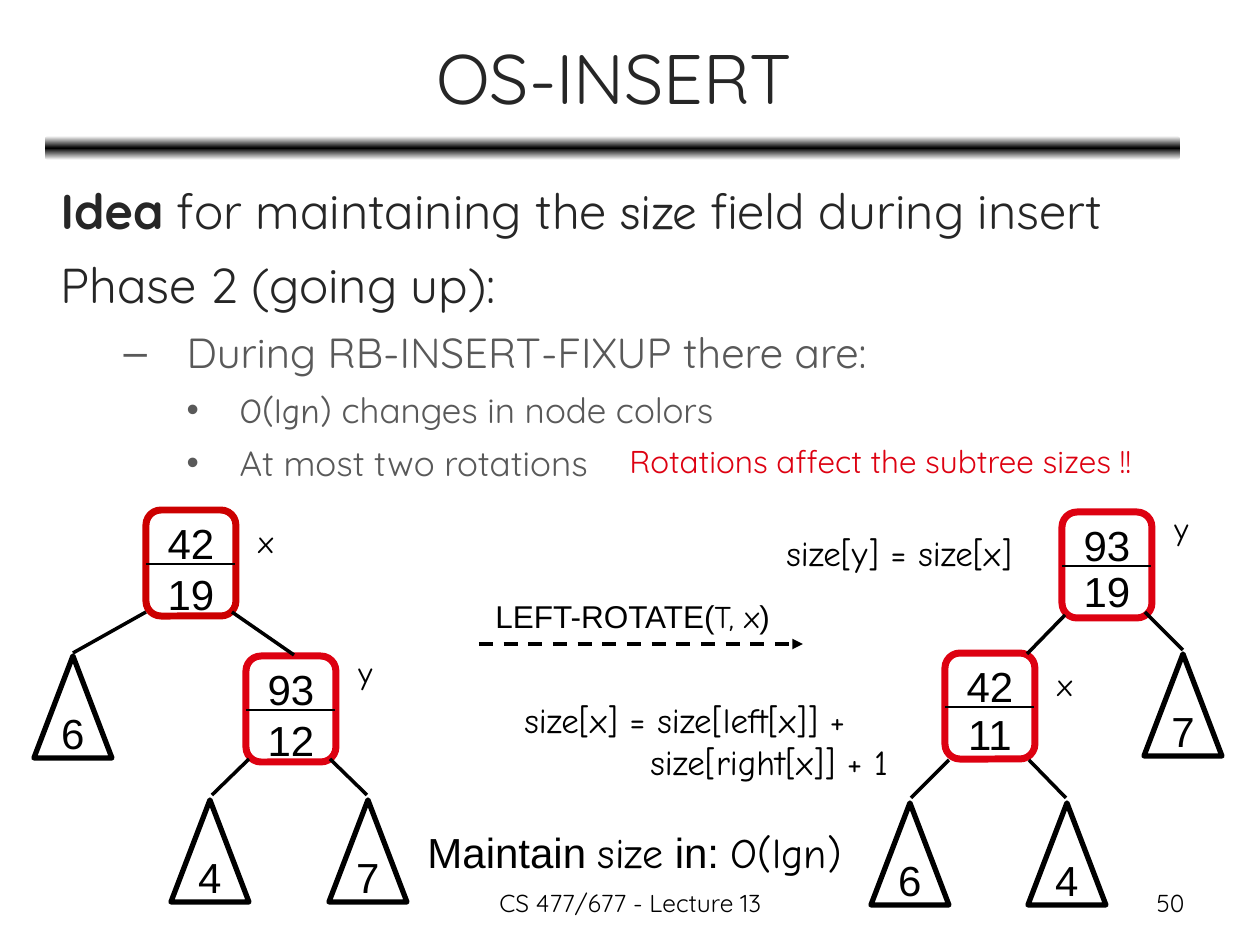
from copy import deepcopy

from pptx import Presentation
from pptx import util as u
from pptx.dml.color import RGBColor
from pptx.enum import dml, shapes, text
from pptx.oxml.ns import qn
from lxml import etree

PX = 914400 / 126
SANS, HAND, PLAIN = "Quicksand", "Comic Neue", "Arial"
BLACK, DARK, GREY = "000000", "262626", "595959"
RED, DEEP_RED = "DD0111", "CC0000"
LEFT, CENTER, RIGHT = text.PP_ALIGN.LEFT, text.PP_ALIGN.CENTER, text.PP_ALIGN.RIGHT


def px(*values):
    return [u.Emu(round(v * PX)) for v in values]


def rgb(value):
    return RGBColor.from_string(value)


def move(sp, box):
    sp.left, sp.top, sp.width, sp.height = px(*box)


def add_runs(p, runs, size, color=BLACK, bold=False):
    for words, font in runs:
        r = p.add_run()
        r.text = words
        r.font.name, r.font.size, r.font.bold = font, u.Pt(size), bold
        r.font.color.rgb = rgb(color)


def indent(p, left, first=0):
    pPr = p._p.get_or_add_pPr()
    margin, hanging = px(left, first)
    pPr.set("marL", str(margin))
    pPr.set("indent", str(hanging))
    return pPr


def add_text(s, box, *lines, size=18, color=BLACK, align=LEFT, wrap=True, step=0):
    sp = s.shapes.add_textbox(*px(*box))
    tf = sp.text_frame
    tf.word_wrap = wrap
    for i, runs in enumerate(lines):
        p = tf.add_paragraph() if i else tf.paragraphs[0]
        p.alignment = align
        add_runs(p, runs, size, color)
        if step:
            indent(p, i * step)
    return sp


def add_outline(s, kind, box, color, weight):
    sp = s.shapes.add_shape(kind, *px(*box))
    sp.shadow.inherit = False
    sp.fill.background()
    sp.line.color.rgb = rgb(color)
    sp.line.width = u.Pt(weight)
    return sp


def add_line(s, x1, y1, x2, y2, weight=2):
    c = s.shapes.add_connector(shapes.MSO_CONNECTOR.STRAIGHT, *px(x1, y1, x2, y2))
    c.line.color.rgb = rgb(BLACK)
    c.line.width = u.Pt(weight)
    etree.SubElement(c._element.spPr, qn("a:effectLst"))
    return c


def add_node(s, x, y, key, size, name, color=RED, size_dy=52):
    w, h = 90, 106
    add_outline(s, shapes.MSO_SHAPE.ROUNDED_RECTANGLE, (x, y, w, h), color, 4)
    for value, dy in ((key, 1), (size, size_dy)):
        add_text(s, (x, y + dy, w, 63), [(value, PLAIN)], size=24, align=CENTER, wrap=False)
    add_line(s, x, y + 54, x + w - 1, y + 54, 1)
    label_dy = 6 if name == "x" else -9
    add_text(s, (x + 100, y + label_dy, 44, 50), [(name, HAND)])


def add_leaf(s, x, y, size):
    sp = add_outline(s, shapes.MSO_SHAPE.ISOSCELES_TRIANGLE, (x, y, 78, 102), BLACK, 3)
    tf = sp.text_frame
    tf.word_wrap = False
    tf.vertical_anchor = text.MSO_ANCHOR.MIDDLE
    tf.paragraphs[0].alignment = CENTER
    add_runs(tf.paragraphs[0], [(size, PLAIN)], 24)


def add_tree(s, x, y, nodes, leaves, edges):
    for dx, dy, key, size, name, style in nodes:
        add_node(s, x + dx, y + dy, key, size, name, **style)
    for dx, dy, size in leaves:
        add_leaf(s, x + dx, y + dy, size)
    for x1, y1, x2, y2 in edges:
        add_line(s, x + x1, y + y1, x + x2, y + y2)


def add_heading(s, box):
    x, y, w, h = box
    sp = s.shapes.title
    move(sp, (x, y, w, 125))
    tf = sp.text_frame
    tf.auto_size = text.MSO_AUTO_SIZE.NONE
    tf.vertical_anchor = text.MSO_ANCHOR.MIDDLE
    tf.paragraphs[0].alignment = CENTER
    add_runs(tf.paragraphs[0], [("OS-INSERT", SANS)], 40, DARK)
    bar = s.shapes.add_shape(shapes.MSO_SHAPE.ROUNDED_RECTANGLE, *px(x - 2, y + h - 24, w + 1, 24))
    bar.shadow.inherit = False
    bar.line.fill.background()
    bar.fill.gradient()
    bar.fill.gradient_angle = 90
    first, last = bar.fill.gradient_stops
    first.color.rgb = last.color.rgb = rgb("FFFFFF")
    first.position, last.position = 0, 1
    stops = bar._element.spPr.find(qn("a:gradFill")).find(qn("a:gsLst"))
    stops.insert(1, deepcopy(stops[0]))
    middle = bar.fill.gradient_stops[1]
    middle.color.rgb, middle.position = rgb(BLACK), 0.5


def add_body(s, box):
    sp = s.placeholders[1]
    move(sp, box)
    tf = sp.text_frame
    tf.auto_size = text.MSO_AUTO_SIZE.NONE
    levels = [(73, -73, 28, DARK), (126, -63, 24, GREY), (179, -53, 20, GREY)]
    lines = [
        (0, [(" for maintaining the ", SANS), ("size", HAND), (" field during insert", SANS)]),
        (0, [("Phase 2 (going up):", SANS)]),
        (1, [("During RB-INSERT-FIXUP there are:", SANS)]),
        (2, [("O(lgn)", HAND), (" changes in node colors", SANS)]),
        (2, [("At most two rotations", SANS)]),
    ]
    for i, (level, runs) in enumerate(lines):
        p = tf.add_paragraph() if i else tf.paragraphs[0]
        left, first, size, color = levels[level]
        p.level = level
        p.line_spacing = 1.1
        pPr = indent(p, left, first)
        if level == 0:
            etree.SubElement(pPr, qn("a:buNone"))
        if i == 0:
            add_runs(p, [("Idea", SANS)], size, color, bold=True)
        add_runs(p, runs, size, color)


def add_rotation(s, x, y):
    add_text(s, (x + 4, y, 320, 50), [("LEFT-ROTATE(", PLAIN), ("T, x", HAND), (")", PLAIN)])
    arrow = add_line(s, x, y + 53, x + 324, y + 53)
    arrow.line.dash_style = dml.MSO_LINE.DASH
    etree.SubElement(arrow.line._get_or_add_ln(), qn("a:tailEnd"), type="triangle")


def add_footer(s, box):
    x, y, w, h = box
    add_text(s, (x, y, 399, h), [("CS 477/677 - Lecture 13", SANS)], size=14, align=CENTER)
    add_text(s, (x + w - 294, y, 294, h), [("50", SANS)], size=14, align=RIGHT)


def main():
    prs = Presentation()
    prs.slide_width, prs.slide_height = px(1260, 945)
    s = prs.slides.add_slide(prs.slide_layouts[1])
    add_heading(s, (47, 14, 1134, 146))
    add_body(s, (48, 168, 1134, 699))
    add_text(s, (617, 436, 556, 50), [("Rotations affect the subtree sizes !!", SANS)], color=RED)
    add_tree(
        s, 34, 510,
        [(112, 0, "42", "19", "x", {"color": DEEP_RED}), (212, 146, "93", "12", "y", {})],
        [(0, 146, "6"), (137, 290, "4"), (295, 290, "7")],
        [(112, 102, 39, 143), (198, 102, 260, 145), (296, 249, 333, 285), (215, 249, 178, 285)],
    )
    add_tree(
        s, 871, 512,
        [(191, 0, "93", "19", "y", {"size_dy": 47}), (74, 141, "42", "11", "x", {"size_dy": 49})],
        [(273, 142, "7"), (0, 291, "6"), (157, 291, "4")],
        [(274, 100, 312, 138), (194, 103, 156, 142), (158, 248, 195, 286), (78, 248, 40, 286)],
    )
    add_rotation(s, 479, 591)
    add_text(s, (512, 692, 435, 97), [("size[x] = size[left[x]] +", HAND)],
             [("size[right[x]] + 1", HAND)], size=20, step=126)
    add_text(s, (774, 525, 275, 54), [("size[y] = size[x]", HAND)], size=20)
    add_text(s, (415, 820, 461, 63), [("Maintain ", PLAIN), ("size", HAND),
             (" in: ", PLAIN), ("O(lgn)", HAND)], size=24)
    add_footer(s, (431, 882, 766, 44))
    prs.save("out.pptx")


if __name__ == "__main__":
    main()
